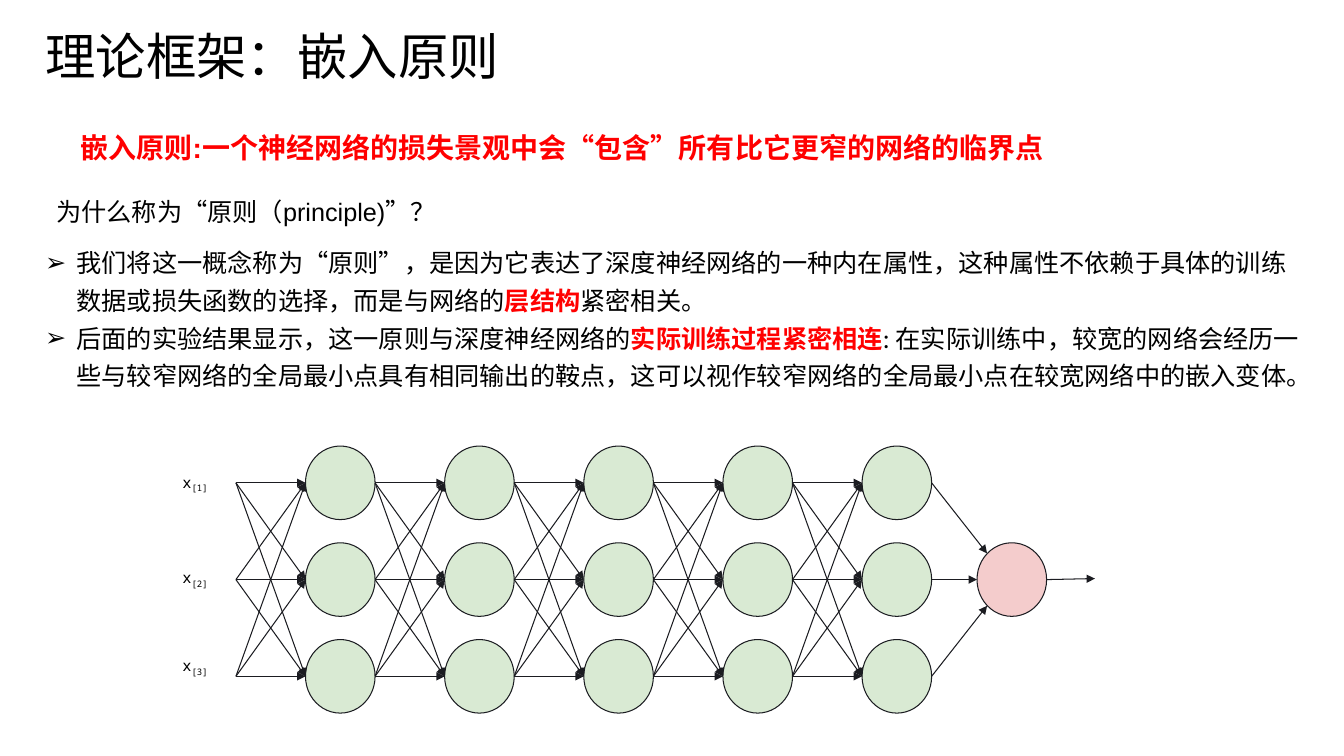
from itertools import product
from lxml.etree import SubElement
from pptx import Presentation
from pptx.dml.color import RGBColor
from pptx.enum.shapes import MSO_CONNECTOR as Link, MSO_SHAPE as Kind
from pptx.enum.text import MSO_AUTO_SIZE as Fit
from pptx.oxml.ns import qn
from pptx.util import Inches, Pt

BLACK = RGBColor(0x00, 0x00, 0x00)
RED = RGBColor(0xFF, 0x00, 0x00)
INK = RGBColor(0x1B, 0x1C, 0x21)
GREEN = RGBColor(0xD9, 0xEA, 0xD3)
PINK = RGBColor(0xF4, 0xCC, 0xCC)

HEADS = [
    ((0.35, 0.2, 4.75, 0.71), "理论框架：嵌入原则", 36, BLACK, False, 1),
    ((0.7, 1.16, 10.16, 0.49),
     "嵌入原则:一个神经网络的损失景观中会“包含”所有比它更窄的网络的临界点",
     20, RED, True, 1.25),
    ((0.46, 1.82, 4, 0.44), "为什么称为“原则（principle)”？", 18, BLACK, False, 1.25),
]
POINTS = [
    [("我们将这一概念称为“原则”，是因为它表达了深度神经网络的一种内在属性，"
      "这种属性不依赖于具体的训练数据或损失函数的选择，而是与网络的", "Lato", False),
     ("层结构", "Arial", True),
     ("紧密相关。", "Lato", False)],
    [("后面的实验结果显示，这一原则与深度神经网络的", "Lato", False),
     ("实际训练过程紧密相连", "Lato", True),
     (": 在实际训练中，较宽的网络会经历一些与较窄网络的全局最小点具有相同输出的鞍点，"
      "这可以视作较窄网络的全局最小点在较宽网络中的嵌入变体。", "Lato", False)],
]
INPUTS = [("[1]", 4.69), ("[2]", 5.64), ("[3]", 6.51)]

LAYERS = 5
WIDE, HIGH = 0.69, 0.73
LEFT, STEP = 3.03, 1.38
ROWS = [4.79, 5.75, 6.71]
OUT = 9.69

deck = Presentation()
deck.slide_width, deck.slide_height = Inches(13.33), Inches(7.5)
slide = deck.slides.add_slide(deck.slide_layouts[6])


def add_run(para, text, size, face, color, bold=False):
    run = para.add_run()
    run.text = text
    font = run.font
    font.size, font.name, font.bold = Pt(size), face, bold
    font.color.rgb = color
    return run


def add_box(home, area, wrap, fit=Fit.SHAPE_TO_FIT_TEXT):
    frame = home.add_textbox(*map(Inches, area)).text_frame
    frame.word_wrap, frame.auto_size = wrap, fit
    return frame


def add_node(left, mid, color):
    node = net.add_shape(Kind.OVAL, Inches(left), Inches(mid - HIGH / 2),
                         Inches(WIDE), Inches(HIGH))
    node.shadow.inherit = False
    node.fill.solid()
    node.fill.fore_color.rgb = color
    node.line.color.rgb, node.line.width = INK, Pt(0.75)


def add_arrow(x1, y1, x2, y2):
    arrow = net.add_connector(Link.STRAIGHT, *map(Inches, (x1, y1, x2, y2)))
    arrow.line.color.rgb, arrow.line.width = INK, Pt(0.75)
    SubElement(arrow.line._get_or_add_ln(), qn("a:tailEnd"), type="triangle")
    SubElement(arrow._element.spPr, qn("a:effectLst"))


for area, text, size, color, bold, gap in HEADS:
    para = add_box(slide.shapes, area, False).paragraphs[0]
    para.line_spacing = gap
    add_run(para, text, size, "Arial", color, bold)

body = add_box(slide.shapes, (0.35, 2.33, 12.64, 1.59), True)
for i, runs in enumerate(POINTS):
    para = body.add_paragraph() if i else body.paragraphs[0]
    props = para._p.get_or_add_pPr()
    props.set("marL", str(Inches(0.31)))
    props.set("indent", str(-Inches(0.31)))
    SubElement(props, qn("a:buFont"), typeface="Arial")
    SubElement(props, qn("a:buChar"), char="➢")
    para.line_spacing = 1.25
    for text, face, key in runs:
        add_run(para, text, 18, face, RED if key else BLACK, key)

net = slide.shapes.add_group_shape().shapes
cols = [LEFT + STEP * i for i in range(LAYERS)]
for left, mid in product(cols, ROWS):
    add_node(left, mid, GREEN)
for left, start, end in product(cols, ROWS, ROWS):
    add_arrow(left - WIDE, start, left, end)

add_node(OUT, ROWS[1], PINK)
edge = cols[-1] + WIDE
for start, tip, end in zip(ROWS, (9.79, OUT, 9.79), (5.49, 5.75, 6.01)):
    add_arrow(edge, start, tip, end)
add_arrow(OUT + WIDE, ROWS[1], 10.86, 5.74)

for mark, top in INPUTS:
    frame = add_box(net, (1.71, top, 0.69, 0.44), True, Fit.NONE)
    frame.margin_top = frame.margin_bottom = 0
    para = frame.paragraphs[0]
    add_run(para, "x", 11, "Noto Sans Mono", BLACK)
    sub = add_run(para, mark, 11, "Noto Sans Mono", BLACK)
    sub._r.get_or_add_rPr().set("baseline", "-25000")

deck.save("out.pptx")
